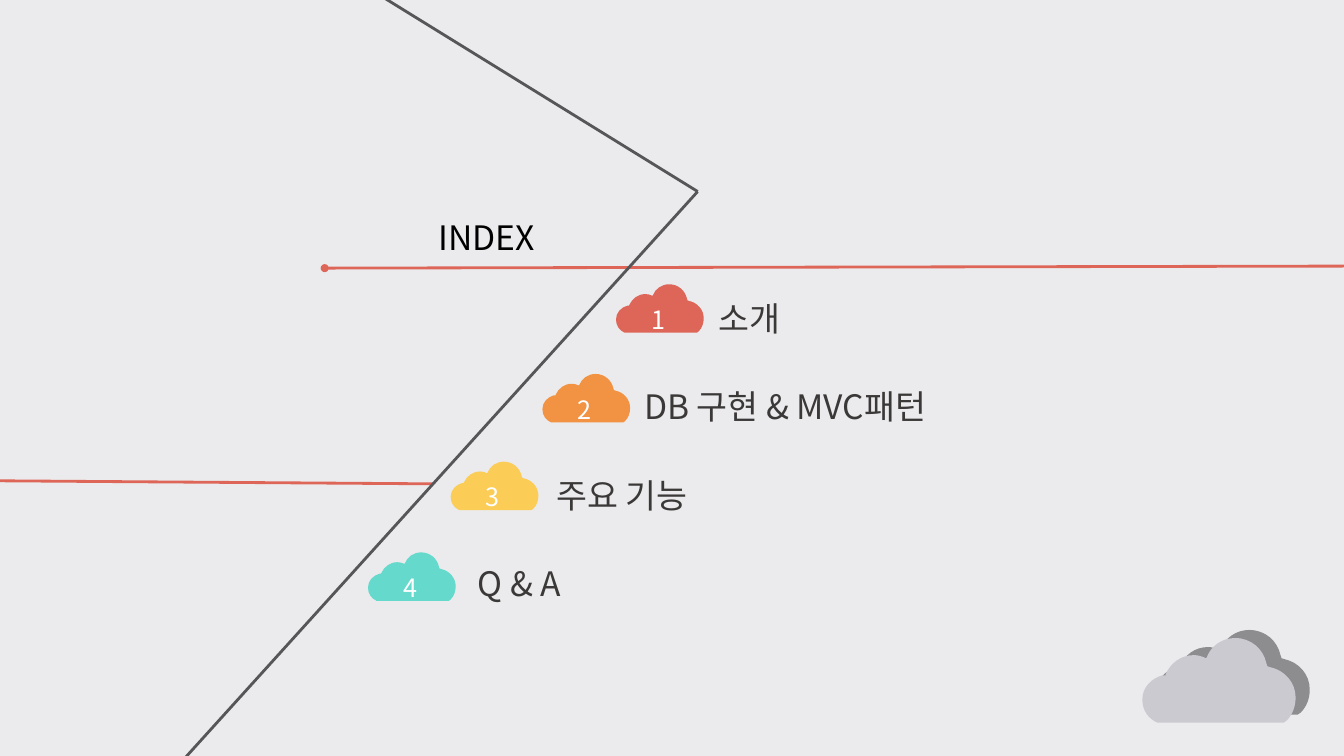
import pptx
import pptx.util
import pptx.dml.color
import pptx.enum.shapes
import pptx.enum.text
import pptx.oxml.ns
import lxml.etree

Inches = pptx.util.Inches
qn = pptx.oxml.ns.qn
FONT = "Noto Sans CJK KR"
COLORS = {
    "background": "EBEBED", "red": "DE6658", "orange": "F29343",
    "yellow": "FBCC56", "teal": "65D9CC", "road": "565658",
    "title": "000000", "label": "3B3838", "number": "FFFFFF",
    "cloud_back": "8D8D8F", "cloud_front": "CACAD0",
}
HEADING = ("INDEX", 4.25, 2.1, 1.33)
ENTRIES = [
    ("소개", "red", 6.11, 2.82, 7.03, 2.91, 1.92),
    ("DB 구현 & MVC패턴", "orange", 5.38, 3.71, 6.29, 3.78, 3.4),
    ("주요 기능", "yellow", 4.47, 4.58, 5.42, 4.66, 2.12),
    ("Q & A", "teal", 3.65, 5.48, 4.64, 5.53, 2.14),
]
LINES = [
    ((3.22, 2.66), (13.33, 2.64), "red"),
    ((3.65, -0.12), (6.92, 1.9), "road"),
    ((-0.03, 4.77), (4.3, 4.8), "red"),
    ((1.78, 7.58), (6.92, 1.9), "road"),
]
CORNER_CLOUDS = [(11.47, 6.25, "cloud_back"), (11.33, 6.33, "cloud_front")]
CLOUD_WIDTH, SMALL_CLOUD_WIDTH = 1.52, 0.87
CLOUD_START = (0.92, 0)
CLOUD_OUTLINE = [
    [(1.08, 0), (1.2, 0.11), (1.23, 0.25)],
    [(1.24, 0.28)], [(1.27, 0.29)],
    [(1.41, 0.32), (1.52, 0.44), (1.52, 0.59)],
    [(1.52, 0.68), (1.49, 0.76), (1.43, 0.82)],
    [(1.4, 0.84)], [(0.16, 0.84)], [(0.15, 0.84)],
    [(0.06, 0.8), (0, 0.72), (0, 0.61)],
    [(0, 0.49), (0.09, 0.4), (0.2, 0.37)],
    [(0.23, 0.37)], [(0.23, 0.36)],
    [(0.28, 0.25), (0.38, 0.17), (0.51, 0.17)],
    [(0.55, 0.17), (0.59, 0.18), (0.63, 0.2)],
    [(0.63, 0.2)], [(0.64, 0.19)],
    [(0.68, 0.08), (0.79, 0), (0.92, 0)],
]

deck = pptx.Presentation()
deck.slide_width, deck.slide_height = Inches(13.33), Inches(7.5)
slide = deck.slides.add_slide(deck.slide_layouts[5])


def color(name):
    return pptx.dml.color.RGBColor.from_string(COLORS[name])


def paint(shape, fill):
    shape.fill.solid()
    shape.fill.fore_color.rgb = color(fill)
    shape.line.fill.background()
    shape.shadow.inherit = False


def write(box, text, size, ink, wrap=True, align="LEFT"):
    frame = box.text_frame
    frame.word_wrap = wrap
    frame.auto_size = pptx.enum.text.MSO_AUTO_SIZE.SHAPE_TO_FIT_TEXT
    frame.vertical_anchor = pptx.enum.text.MSO_ANCHOR.MIDDLE
    paragraph = frame.paragraphs[0]
    paragraph.alignment = getattr(pptx.enum.text.PP_ALIGN, align)
    run = paragraph.add_run()
    run.text = text
    run.font.size = pptx.util.Pt(size)
    run.font.name = FONT
    run.font.color.rgb = color(ink)
    east_asian = lxml.etree.SubElement(run.font._element, qn("a:ea"))
    east_asian.set("typeface", FONT)


def add_label(left, top, width, height, *text_style):
    box = slide.shapes.add_textbox(
        Inches(left), Inches(top), Inches(width), Inches(height))
    write(box, *text_style)


def add_cloud(left, top, width, fill):
    scale = width / CLOUD_WIDTH
    points = [(Inches(left + x * scale), Inches(top + y * scale))
              for x, y in [CLOUD_START] + sum(CLOUD_OUTLINE, [])]
    builder = slide.shapes.build_freeform(*points[0])
    builder.add_line_segments(points[1:], close=True)
    cloud = builder.convert_to_shape()
    steps = iter(list(cloud._element.iter(qn("a:lnTo"))))
    for segment in CLOUD_OUTLINE:
        corners = [next(steps) for _ in segment]
        if len(corners) == 3:
            curve = lxml.etree.Element(qn("a:cubicBezTo"))
            corners[0].addprevious(curve)
            for corner in corners:
                curve.append(corner[0])
                corner.getparent().remove(corner)
    paint(cloud, fill)


def main():
    slide.background.fill.solid()
    slide.background.fill.fore_color.rgb = color("background")

    for start, end, ink in LINES:
        line = slide.shapes.add_connector(
            pptx.enum.shapes.MSO_CONNECTOR.STRAIGHT,
            *[Inches(value) for value in start + end])
        line.line.color.rgb = color(ink)
        line.line.width = pptx.util.Pt(2)
        lxml.etree.SubElement(line._element.spPr, qn("a:effectLst"))

    heading, left, top, width = HEADING
    title = slide.shapes.title
    title.left, title.top = Inches(left), Inches(top)
    title.width, title.height = Inches(width), Inches(0.5)
    write(title, heading, 24, "title")

    for number, entry in enumerate(ENTRIES, 1):
        text, fill, cloud_left, cloud_top, left, top, width = entry
        add_label(left, top, width, 0.5, text, 24, "label")
        add_cloud(cloud_left, cloud_top, SMALL_CLOUD_WIDTH, fill)
        add_label(cloud_left + 0.25, cloud_top + 0.15, 0.33, 0.4,
                  str(number), 18, "number", False, "CENTER")

    for left, top, fill in CORNER_CLOUDS:
        add_cloud(left, top, CLOUD_WIDTH, fill)

    dot = slide.shapes.add_shape(
        pptx.enum.shapes.MSO_SHAPE.OVAL,
        Inches(3.18), Inches(2.62), Inches(0.08), Inches(0.08))
    paint(dot, "red")
    deck.save("out.pptx")


if __name__ == "__main__":
    main()
